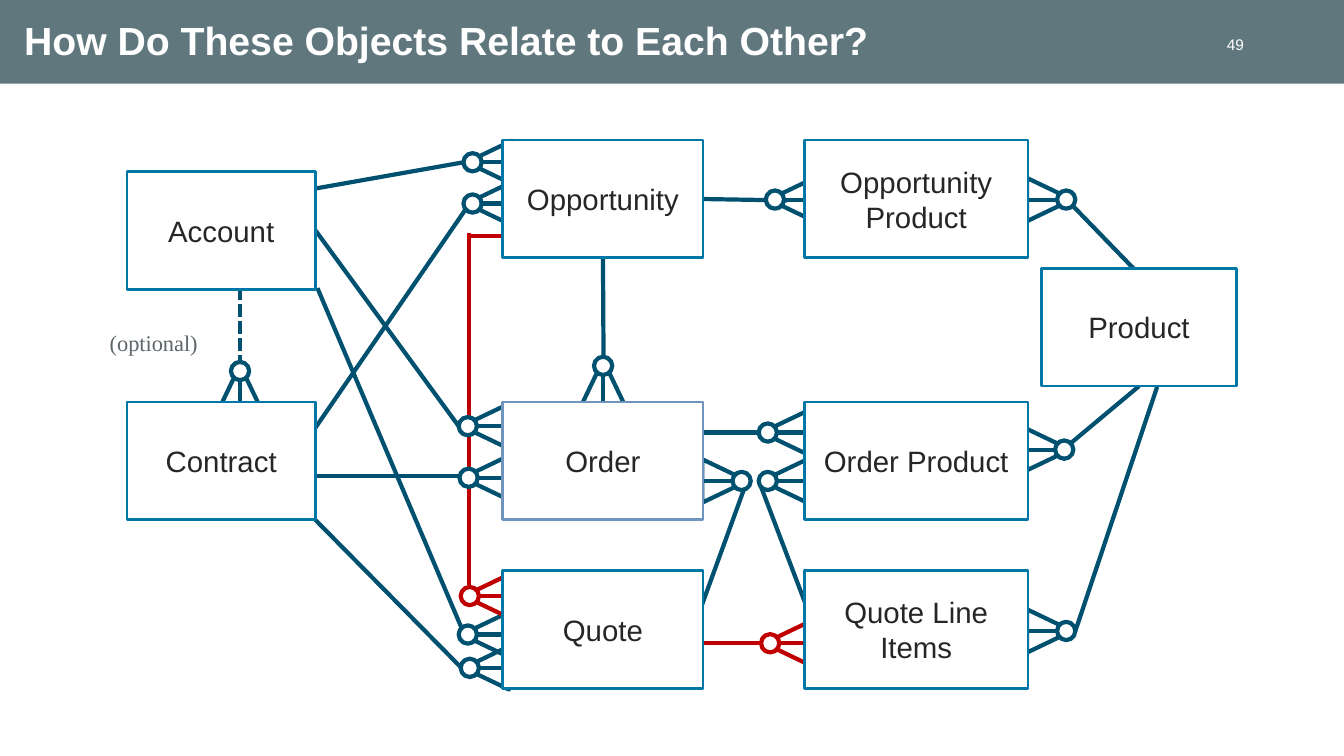
from dataclasses import dataclass
from math import cos, radians, sin

from lxml import etree
from pptx import Presentation
from pptx import util as u
from pptx.dml.color import RGBColor
from pptx.enum import dml, shapes, text
from pptx.oxml.ns import qn

WHITE, SLATE, NAVY, RED = "FFFFFF", "60777E", "005070", "C00000"
BLUE, PALE, INK, GREY = "0077A6", "6F95BC", "262626", "5C656A"
BOX_H = 2.97
LEFT, MID, RIGHT = (3.2, 4.75), (12.67, 5.05), (20.27, 5.64)  # left edge, width
TOP, ROW, LOW = 3.53, 10.13, 14.38
UP, WEST, EAST = 0, 90, 270  # turn of a crow's foot
SIDE_BOTTOM, SIDE_RIGHT = 2, 3


@dataclass
class Box:
    label: str
    col: tuple[float, float]
    top: float
    edge: str = BLUE


@dataclass
class Wire:
    """A line; box and side name the rectangle its start is joined to."""
    x1: float
    y1: float
    x2: float
    y2: float
    color: str = NAVY
    dash: bool = False
    box: str = ""
    side: int = 0


@dataclass
class Foot:
    """A crow's foot, placed by the centre of its ring."""
    x: float
    y: float
    turn: int
    color: str = NAVY


@dataclass
class Style:
    size: float
    color: str
    font: str = "Arial"
    bold: bool = False
    align: text.PP_ALIGN = text.PP_ALIGN.CENTER
    anchor: text.MSO_ANCHOR = text.MSO_ANCHOR.MIDDLE
    wrap: bool = True
    inset: tuple[float, float, float, float] = (0.18, 0.1, 0.18, 0.1)
    space: float = 1.0


BOXES = [
    Box("Order Product", RIGHT, ROW),
    Box("Opportunity Product", RIGHT, TOP),
    Box("Product", (26.24, 4.93), 6.76),
    Box("Quote Line Items", RIGHT, LOW),
    Box("Opportunity", MID, TOP),
    Box("Order", MID, ROW, PALE),
    Box("Quote", MID, LOW),
    Box("Contract", LEFT, ROW),
    Box("Account", LEFT, 4.32),
]

WIRES = [
    Wire(17.68, 15.27, 18.77, 12.27),
    Wire(17.7, 16.21, 19.41, 16.21, RED),
    Wire(17.73, 10.9, 19.35, 10.9),
    Wire(17.72, 5.02, 19.84, 5.05, box="Opportunity", side=SIDE_RIGHT),
    Wire(7.92, 10.82, 11.73, 5.28),
    Wire(7.95, 4.75, 11.68, 4.09),
    Wire(7.95, 5.81, 11.56, 10.74, box="Account", side=SIDE_RIGHT),
    Wire(15.19, 6.5, 15.21, 9.07, box="Opportunity", side=SIDE_BOTTOM),
    Wire(7.92, 11.99, 11.63, 11.99),
    Wire(28.71, 9.73, 26.97, 11.18, box="Product", side=SIDE_BOTTOM),
    Wire(28.58, 6.78, 27.03, 5.18),
    Wire(8, 7.26, 11.63, 15.82),
    Wire(7.8, 12.95, 11.61, 16.81),
    Wire(20.32, 15.27, 19.18, 12.27),
    Wire(29.16, 9.75, 27.1, 15.9),
    Wire(11.81, 5.87, 11.81, 14.73, RED),
    Wire(11.76, 5.94, 12.88, 5.94, RED),
    Wire(6.05, 6.4, 6.05, 9.12, dash=True),
]

FEET = [
    Foot(18.69, 12.12, WEST),
    Foot(26.87, 15.9, WEST),
    Foot(19.41, 16.21, EAST, RED),
    Foot(19.35, 12.12, EAST),
    Foot(11.79, 15.99, EAST),
    Foot(26.82, 11.33, WEST),
    Foot(26.87, 5.03, WEST),
    Foot(19.53, 5.03, EAST),
    Foot(19.35, 10.9, EAST),
    Foot(11.91, 5.13, EAST),
    Foot(15.2, 9.22, UP),
    Foot(11.91, 4.09, EAST),
    Foot(11.84, 16.83, EAST),
    Foot(11.81, 12.04, EAST),
    Foot(11.79, 10.74, EAST),
    Foot(11.84, 15.02, EAST, RED),
    Foot(6.05, 9.35, UP),
]


def paint(fmt, color: str) -> None:
    fmt.solid()
    fmt.fore_color.rgb = RGBColor.from_string(color)


def write(shape, words: str, style: Style) -> None:
    frame = shape.text_frame
    frame.text = words
    frame.word_wrap = style.wrap
    frame.vertical_anchor = style.anchor
    (frame.margin_left, frame.margin_top, frame.margin_right,
     frame.margin_bottom) = map(u.Cm, style.inset)
    para = frame.paragraphs[0]
    para.alignment = style.align
    para.line_spacing = style.space
    font = para.runs[0].font
    font.name, font.size, font.bold = style.font, u.Pt(style.size), style.bold
    paint(font.fill, style.color)


def draw_shape(slide, kind, x: float, y: float, w: float, h: float,
               fill: str = "", edge: str = "", width: float = 3):
    shape = slide.shapes.add_shape(kind, *map(u.Cm, (x, y, w, h)))
    shape.shadow.inherit = False
    if fill:
        paint(shape.fill, fill)
    else:
        shape.fill.background()
    if edge:
        paint(shape.line.fill, edge)
        shape.line.width = u.Pt(width)
    else:
        shape.line.fill.background()
    return shape


def draw_wire(slide, wire: Wire):
    ends = map(u.Cm, (wire.x1, wire.y1, wire.x2, wire.y2))
    line = slide.shapes.add_connector(shapes.MSO_CONNECTOR.STRAIGHT, *ends)
    paint(line.line.fill, wire.color)
    line.line.width = u.Pt(3)
    if wire.dash:
        line.line.dash_style = dml.MSO_LINE.SQUARE_DOT
    etree.SubElement(line._element.spPr, qn("a:effectLst"))
    return line


def draw_foot(slide, foot: Foot) -> None:
    wide, tall, ring, shift, reach = 1.09, 1.14, 0.46, 0.42, 0.99
    dx, dy = -sin(radians(foot.turn)), cos(radians(foot.turn))
    draw_wire(slide, Wire(foot.x, foot.y, foot.x + reach * dx,
                          foot.y + reach * dy, foot.color))
    claw = draw_shape(slide, shapes.MSO_SHAPE.ISOSCELES_TRIANGLE,
                      foot.x + shift * dx - wide / 2,
                      foot.y + shift * dy - tall / 2,
                      wide, tall, edge=foot.color)
    claw.rotation = foot.turn
    draw_shape(slide, shapes.MSO_SHAPE.OVAL, foot.x - ring / 2,
               foot.y - ring / 2, ring, ring, WHITE, foot.color)


def draw_box(slide, box: Box):
    left, width = box.col
    shape = draw_shape(slide, shapes.MSO_SHAPE.RECTANGLE, left, box.top,
                       width, BOX_H, WHITE, box.edge, 2)
    write(shape, box.label, Style(21, INK))
    return shape


def add_text(slide, words: str, x: float, y: float, w: float, h: float,
             style: Style) -> None:
    write(slide.shapes.add_textbox(*map(u.Cm, (x, y, w, h))), words, style)


def main() -> None:
    deck = Presentation()
    deck.slide_width, deck.slide_height = u.Cm(33.87), u.Cm(19.05)
    slide = deck.slides.add_slide(deck.slide_layouts[6])

    draw_shape(slide, shapes.MSO_SHAPE.RECTANGLE, 0, 0, 33.87, 2.11, SLATE)
    add_text(slide, "How Do These Objects Relate to Each Other?",
             0.36, 0, 29.82, 2.08,
             Style(28, WHITE, bold=True, align=text.PP_ALIGN.LEFT,
                   inset=(0.25, 0.25, 0.25, 0.13), space=0.85))
    add_text(slide, "49", 30.25, 0.84, 1.35, 0.56,
             Style(11, WHITE, align=text.PP_ALIGN.RIGHT,
                   inset=(0.25, 0, 0.25, 0)))

    lines = [draw_wire(slide, wire) for wire in WIRES]
    for foot in FEET:
        draw_foot(slide, foot)
    rects = {box.label: draw_box(slide, box) for box in BOXES}
    for wire, line in zip(WIRES, lines):
        if wire.box:
            line.begin_connect(rects[wire.box], wire.side)

    add_text(slide, "(optional)", 2.49, 8.2, 2.77, 0.89,
             Style(16, GREY, "Times New Roman", wrap=False,
                   anchor=text.MSO_ANCHOR.TOP))
    deck.save("out.pptx")


if __name__ == "__main__":
    main()
